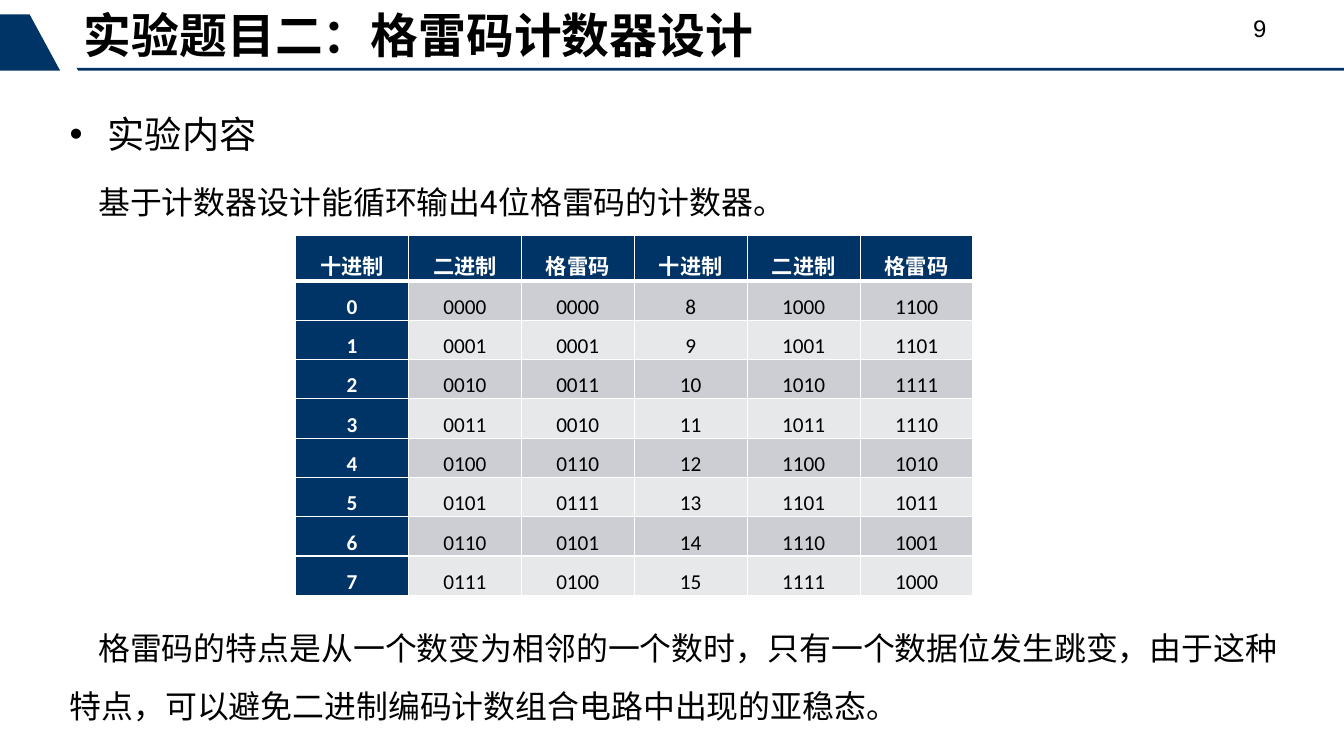
from lxml import etree
from pptx import Presentation
from pptx import util as u
from pptx.dml.color import RGBColor
from pptx.enum import text
from pptx.oxml import ns

NAVY = RGBColor(0x00, 0x33, 0x66)
BLACK = RGBColor(0, 0, 0)
WHITE = RGBColor(255, 255, 255)
DARK_BAND = RGBColor(0xCC, 0xCE, 0xD3)
LIGHT_BAND = RGBColor(0xE7, 0xE8, 0xEA)
CJK = "Noto Sans CJK SC"
SLIDE_W, SLIDE_H = 14.06, 7.91
HEAD_ROW_H = 0.48


def add_run(p, words, size, font, color=BLACK, bold=False):
    r = p.add_run()
    r.text = words
    r.font.size = u.Pt(size)
    r.font.name = font
    r.font.bold = bold
    r.font.color.rgb = color
    ea = etree.SubElement(r.font._element, ns.qn("a:ea"))
    ea.set("typeface", CJK)


def add_box(s, x, y, w, h, anchor):
    tf = s.shapes.add_textbox(*map(u.Inches, (x, y, w, h))).text_frame
    tf.word_wrap = True
    tf.vertical_anchor = anchor
    return tf


def add_outline(s, points):
    start, *rest = [(u.Inches(x), u.Inches(y)) for x, y in points]
    fb = s.shapes.build_freeform(*start)
    fb.add_line_segments(rest, close=True)
    sp = fb.convert_to_shape()
    sp.shadow.inherit = False
    sp.fill.solid()
    sp.fill.fore_color.rgb = NAVY
    sp.line.fill.background()


def add_header(s, x, y, w, h, title, number):
    bottom = y + h
    add_outline(s, [(x + 0.8, bottom - 0.03), (x + w, bottom - 0.03),
                    (x + w, bottom), (x + 0.82, bottom)])
    add_outline(s, [(x, y + 0.15), (x + 0.31, y + 0.15),
                    (x + 0.63, bottom), (x, bottom)])
    tf = add_box(s, x + 0.78, y + 0.07, 9, h - 0.08, text.MSO_ANCHOR.MIDDLE)
    p = tf.paragraphs[0]
    p.line_spacing = 0.9
    add_run(p, title, 36, "Arial", bold=True)
    tf = add_box(s, x + w - 1.05, y + 0.08, 0.71, 0.43, text.MSO_ANCHOR.MIDDLE)
    add_run(tf.paragraphs[0], number, 18, "Arial")


def add_body(s, x, y, w, h, paragraphs):
    tf = add_box(s, x, y, w, h, text.MSO_ANCHOR.TOP)
    for i, (words, size, before, margin, indent, bullet) in enumerate(paragraphs):
        p = tf.add_paragraph() if i else tf.paragraphs[0]
        p.line_spacing = 1.5
        if i:
            p.space_before = u.Pt(before)
        pPr = p._p.get_or_add_pPr()
        pPr.set("marL", str(u.Inches(margin)))
        pPr.set("indent", str(u.Inches(indent)))
        if bullet:
            etree.SubElement(pPr, ns.qn("a:buFont")).set("typeface", "Arial")
            etree.SubElement(pPr, ns.qn("a:buChar")).set("char", bullet)
        add_run(p, words, size, CJK)


def set_borders(cell, bottom):
    tcPr = cell._tc.get_or_add_tcPr()
    widths = {"lnL": 1, "lnR": 1, "lnT": 1, "lnB": bottom}
    for i, (side, width) in enumerate(widths.items()):
        ln = etree.Element(ns.qn("a:" + side), w=str(u.Pt(width)))
        fill = etree.SubElement(ln, ns.qn("a:solidFill"))
        etree.SubElement(fill, ns.qn("a:srgbClr"), val=str(WHITE))
        tcPr.insert(i, ln)


def code_cells(n):
    return [str(n), f"{n:04b}", f"{n ^ (n >> 1):04b}"]


def add_code_table(s, x, y, w, h):
    rows = [["十进制", "二进制", "格雷码"] * 2]
    rows += [code_cells(n) + code_cells(n + 8) for n in range(8)]
    table = s.shapes.add_table(len(rows), len(rows[0]),
                               *map(u.Inches, (x, y, w, h))).table
    row_h = (h - HEAD_ROW_H) / (len(rows) - 1)
    for i, row in enumerate(rows):
        table.rows[i].height = u.Inches(row_h if i else HEAD_ROW_H)
        for j, words in enumerate(row):
            cell = table.cell(i, j)
            heading = i == 0 or j == 0
            cell.fill.solid()
            cell.fill.fore_color.rgb = (
                NAVY if heading else DARK_BAND if i % 2 else LIGHT_BAND)
            set_borders(cell, 1 if i else 3)
            cell.margin_left = cell.margin_right = u.Inches(0.07)
            cell.margin_top = cell.margin_bottom = 0
            cell.vertical_anchor = text.MSO_ANCHOR.MIDDLE
            p = cell.text_frame.paragraphs[0]
            p.alignment = text.PP_ALIGN.CENTER
            p.line_spacing = 1.5
            add_run(p, words, 16, "Calibri", WHITE if heading else BLACK, heading)


def main():
    prs = Presentation()
    prs.slide_width, prs.slide_height = u.Inches(SLIDE_W), u.Inches(SLIDE_H)
    s = prs.slides.add_slide(prs.slide_layouts[6])
    add_body(s, 0.63, 0.88, 12.94, 5.89, [
        ("实验内容", 28, 0, 0.4, -0.4, "•"),
        ("基于计数器设计能循环输出4位格雷码的计数器。", 24, 6, 0, 0.3, None),
        ("格雷码的特点是从一个数变为相邻的一个数时，只有一个数据位发生跳变，"
         "由于这种特点，可以避免二进制编码计数组合电路中出现的亚稳态。",
         24, 293, 0, 0.3, None),
    ])
    add_header(s, 0, 0, SLIDE_W, 0.74, "实验题目二：格雷码计数器设计", "9")
    add_code_table(s, 3.09, 2.46, 7.09, 3.77)
    prs.save("out.pptx")


if __name__ == "__main__":
    main()
